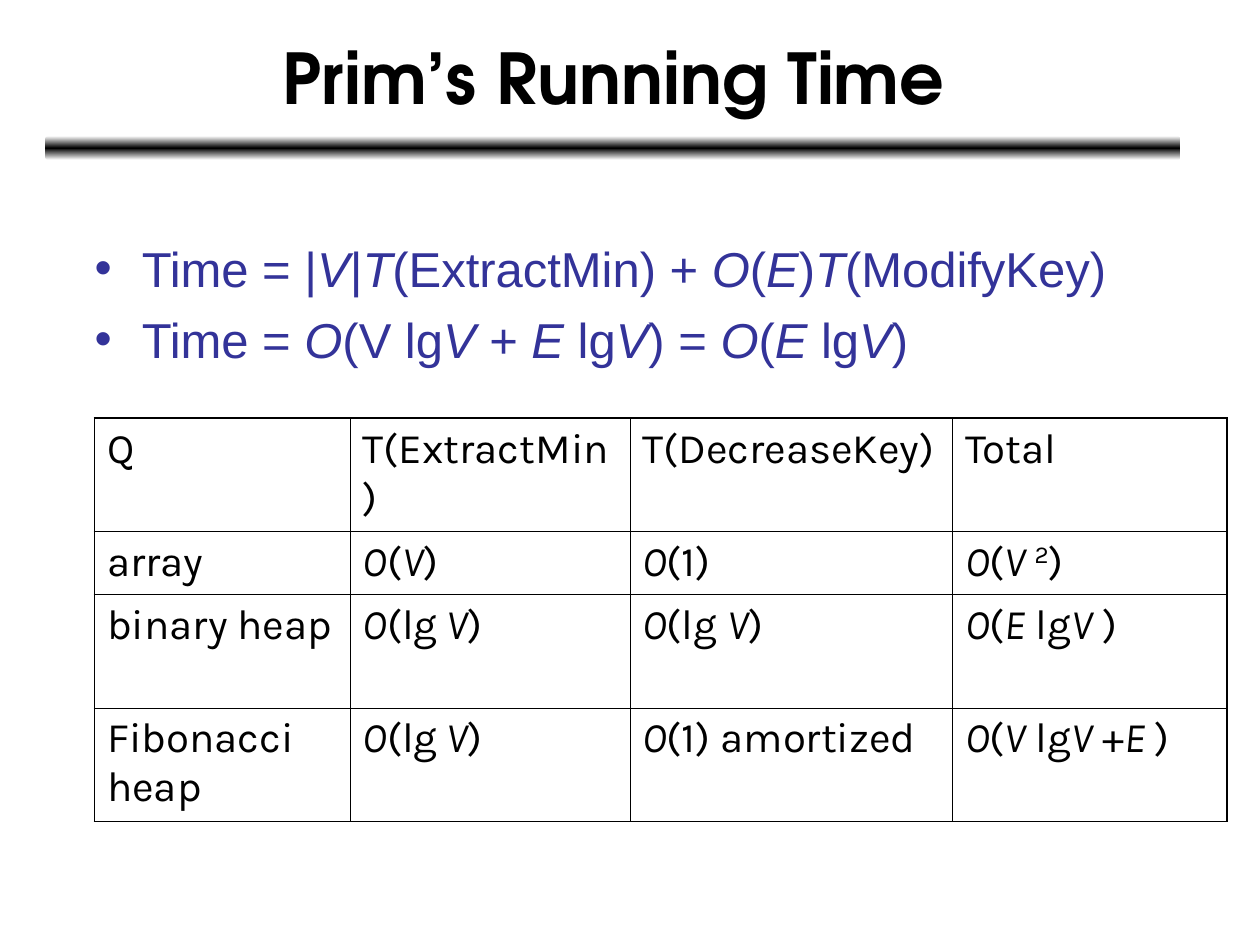
from dataclasses import dataclass

import pptx
import pptx.dml.color
import pptx.enum.shapes
import pptx.enum.text
import pptx.oxml
import pptx.oxml.ns
import pptx.util

Inches, Pt = pptx.util.Inches, pptx.util.Pt
BLACK, WHITE, INDIGO = "000000", "FFFFFF", "333399"
THIN, THICK = 0.45, 1.08


@dataclass(frozen=True)
class Box:
    left: float
    top: float
    width: float
    height: float

    def emu(self) -> tuple:
        return tuple(Inches(v) for v in (self.left, self.top, self.width, self.height))


@dataclass(frozen=True)
class Style:
    font: str
    size: float
    color: str
    bold: bool = False


TITLE = Style("TeX Gyre Adventor", 40, BLACK, True)
BODY = Style("Arial", 28, INDIGO)
CELL = Style("Karla", 24, BLACK)

# In the texts, *...* is italic and ^...^ is superscript.
FORMULAS = [
    "Time = |*V*|*T*(ExtractMin) + *O*(*E*)*T*(ModifyKey)",
    "Time = *O*(V lg*V *+ *E *lg*V*) = *O*(*E *lg*V*)",
]
COSTS = [
    ["Q", "T(ExtractMin)", "T(DecreaseKey)", "Total"],
    ["array", "*O*(*V*)", "*O*(1)", "*O*(*V *^2^)"],
    ["binary heap", "*O*(lg* V*)", "*O*(lg *V*)", "*O*(*E* lg*V* )"],
    ["Fibonacci heap", "*O*(lg* V*)", "*O*(1) amortized", "*O*(*V* lg*V* +*E *)"],
]
COL_WIDTHS = [2.03, 2.22, 2.56, 2.18]
ROW_HEIGHTS = [0.9, 0.5, 0.9, 0.9]


def rgb(color: str) -> pptx.dml.color.RGBColor:
    return pptx.dml.color.RGBColor.from_string(color)


def write(p, text: str, style: Style) -> None:
    """Fill a paragraph with runs, reading the italic and superscript marks."""
    for i, part in enumerate(text.split("^")):
        for j, piece in enumerate(part.split("*")):
            if not piece:
                continue
            r = p.add_run()
            r.text = piece
            r.font.name = style.font
            r.font.size = Pt(style.size)
            r.font.bold = style.bold
            r.font.italic = j % 2 == 1
            r.font.color.rgb = rgb(style.color)
            if i % 2:
                r.font._element.set("baseline", "30000")


def place(sp, box: Box):
    """Move a placeholder and return its text frame."""
    sp.left, sp.top, sp.width, sp.height = box.emu()
    tf = sp.text_frame
    tf.word_wrap = True
    tf.auto_size = pptx.enum.text.MSO_AUTO_SIZE.NONE
    return tf


def add_title(s, text: str) -> None:
    tf = place(s.shapes.title, Box(0.37, 0.11, 9, 0.99))
    tf.vertical_anchor = pptx.enum.text.MSO_ANCHOR.MIDDLE
    p = tf.paragraphs[0]
    p.alignment = pptx.enum.text.PP_ALIGN.CENTER
    write(p, text, TITLE)


def add_formulas(s, formulas: list[str]) -> None:
    tf = place(s.placeholders[1], Box(0.65, 1.79, 9.14, 1.73))
    tf.margin_top = Inches(0.1)
    for i, formula in enumerate(formulas):
        p = tf.add_paragraph() if i else tf.paragraphs[0]
        p.space_before = Pt(7 if i else 0)
        write(p, formula, BODY)


def add_title_bar(s, box: Box) -> None:
    """Draw the rounded bar that fades from black to white, behind the text."""
    sp = s.shapes.add_shape(pptx.enum.shapes.MSO_SHAPE.ROUNDED_RECTANGLE, *box.emu())
    sp.shadow.inherit = False
    sp.line.fill.background()
    sp.fill.gradient()
    stops = "".join(
        f'<a:gs pos="{pos * 1000}"><a:srgbClr val="{color}"/></a:gs>'
        for pos, color in ((0, WHITE), (50, BLACK), (100, WHITE))
    )
    gradient = pptx.oxml.parse_xml(
        f'<a:gradFill {pptx.oxml.ns.nsdecls("a")} rotWithShape="1">'
        f'<a:gsLst>{stops}</a:gsLst><a:lin ang="5400000" scaled="0"/></a:gradFill>'
    )
    spPr = sp._element.spPr
    spPr.replace(spPr.find(pptx.oxml.ns.qn("a:gradFill")), gradient)
    s.shapes._spTree.insert(2, sp._element)


def set_border(cell, side: str, width: float) -> None:
    cell._tc.get_or_add_tcPr().append(pptx.oxml.parse_xml(
        f'<a:ln{side} {pptx.oxml.ns.nsdecls("a")} w="{Pt(width)}">'
        f'<a:solidFill><a:srgbClr val="{BLACK}"/></a:solidFill></a:ln{side}>'
    ))


def add_cost_table(s, rows: list[list[str]]) -> None:
    n_rows, n_cols = len(rows), len(rows[0])
    box = Box(0.75, 3.32, sum(COL_WIDTHS), sum(ROW_HEIGHTS))
    table = s.shapes.add_table(n_rows, n_cols, *box.emu()).table
    table.first_row = table.horz_banding = False
    for col, width in zip(table.columns, COL_WIDTHS):
        col.width = Inches(width)
    for row, height in zip(table.rows, ROW_HEIGHTS):
        row.height = Inches(height)
    for i, texts in enumerate(rows):
        for j, text in enumerate(texts):
            cell = table.cell(i, j)
            outer = {"L": j == 0, "R": j == n_cols - 1, "T": i == 0, "B": i == n_rows - 1}
            for side, is_outer in outer.items():
                set_border(cell, side, THICK if is_outer else THIN)
            cell.fill.background()
            write(cell.text_frame.paragraphs[0], text, CELL)


def main() -> None:
    prs = pptx.Presentation()
    prs.slide_width, prs.slide_height = Inches(10), Inches(7.5)
    s = prs.slides.add_slide(prs.slide_layouts[1])
    s.background.fill.solid()
    s.background.fill.fore_color.rgb = rgb(WHITE)
    add_title_bar(s, Box(0.36, 1.08, 9.01, 0.19))
    add_title(s, "Prim’s Running Time")
    add_formulas(s, FORMULAS)
    add_cost_table(s, COSTS)
    prs.save("out.pptx")


if __name__ == "__main__":
    main()
